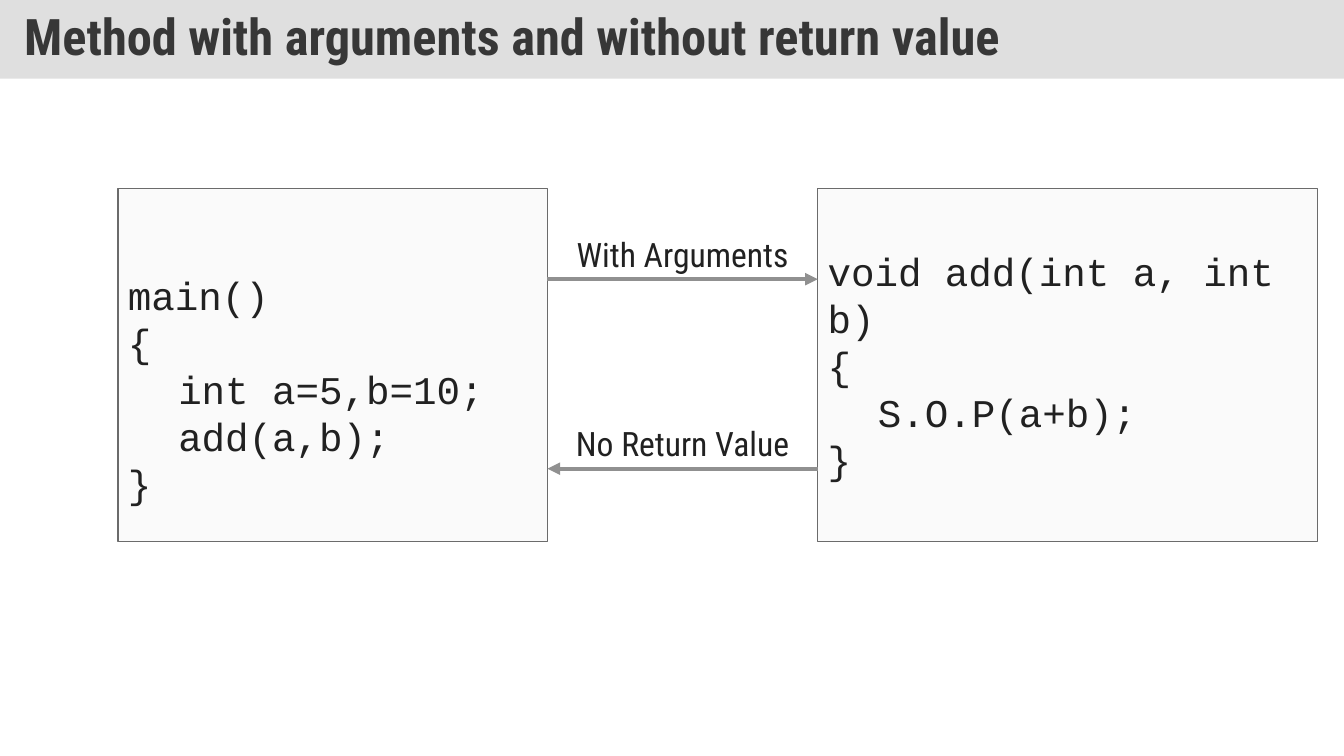
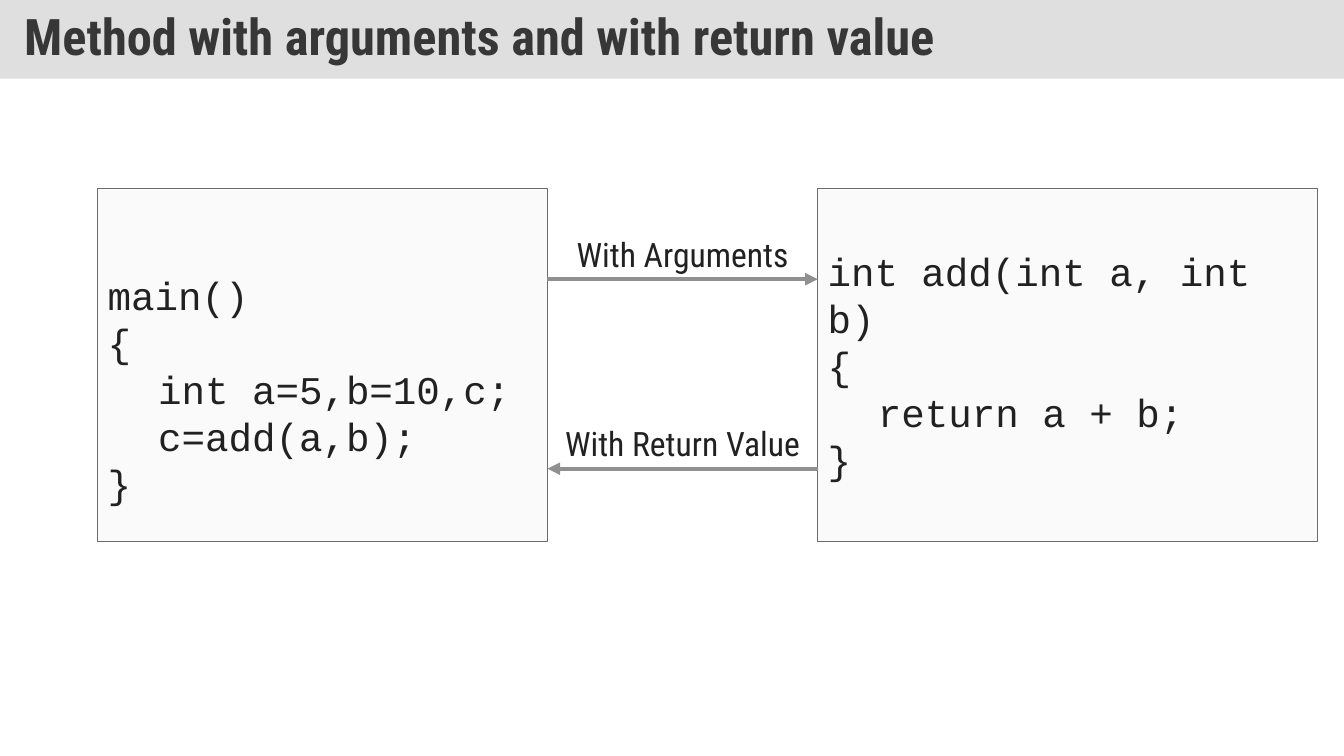
from lxml.etree import SubElement
from pptx import Presentation
from pptx.dml.color import RGBColor
from pptx.enum.shapes import MSO_CONNECTOR, MSO_SHAPE
from pptx.enum.text import MSO_ANCHOR, PP_ALIGN
from pptx.oxml.ns import qn
from pptx.util import Inches, Pt

COLORS = {name: RGBColor.from_string(value) for name, value in {
    "band": "DFDFDF", "title": "373737", "text": "212121",
    "box": "FAFAFA", "border": "6B6B6B", "arrow": "909090"}.items()}
TITLE_FONT, CODE_FONT = "Roboto Condensed", "Courier New"

# Grid in inches: two code boxes with a column for the arrows between them
WIDTH, HEIGHT = 13.33, 7.5
BAND_HEIGHT = 0.78
BOX_TOP, BOX_HEIGHT = 1.87, 3.5
CALLER_RIGHT, METHOD_LEFT, METHOD_RIGHT = 5.43, 8.11, 13.07
ARROW_ROWS = (2.77, 4.65)
LABEL_HEIGHT = 0.5
CODE_LINE = 0.47

SLIDES = [
    {"title": "Method with arguments and without return value",
     "caller_left": 1.17,
     "caller": ["main()", "{", "\tint a=5,b=10;", "\tadd(a,b);", "}"],
     "method": ["void add(int a, int b)", "{", "\tS.O.P(a+b);", "}"],
     "labels": ["With Arguments", "No Return Value"]},
    {"title": "Method with arguments and with return value",
     "caller_left": 0.97,
     "caller": ["main()", "{", "\tint a=5,b=10,c;", "\tc=add(a,b);", "}"],
     "method": ["int add(int a, int b)", "{", "\treturn a + b;", "}"],
     "labels": ["With Arguments", "With Return Value"]},
]


def add_rectangle(slide, left, top, width, height, fill):
    shape = slide.shapes.add_shape(MSO_SHAPE.RECTANGLE, Inches(left), Inches(top),
                                   Inches(width), Inches(height))
    shape.shadow.inherit = False
    shape.fill.solid()
    shape.fill.fore_color.rgb = COLORS[fill]
    shape.text_frame.word_wrap = True
    shape.text_frame.vertical_anchor = MSO_ANCHOR.MIDDLE
    return shape


def write_lines(shape, lines, font, size, color, align=PP_ALIGN.LEFT):
    frame = shape.text_frame
    for index, line in enumerate(lines):
        paragraph = frame.add_paragraph() if index else frame.paragraphs[0]
        paragraph.text = line
        paragraph.alignment = align
        paragraph.font.name = font
        paragraph.font.size = Pt(size)
        paragraph.font.color.rgb = COLORS[color]


presentation = Presentation()
presentation.slide_width = Inches(WIDTH)
presentation.slide_height = Inches(HEIGHT)

for content in SLIDES:
    slide = presentation.slides.add_slide(presentation.slide_layouts[6])

    # Title band
    band = add_rectangle(slide, 0, 0, WIDTH, BAND_HEIGHT, "band")
    band.line.fill.background()
    band.text_frame.margin_left = band.text_frame.margin_right = Inches(0.24)
    band.text_frame.margin_top = band.text_frame.margin_bottom = Inches(0.12)
    write_lines(band, [content["title"]], TITLE_FONT, 36, "title")
    title = band.text_frame.paragraphs[0]
    title.font.bold = True
    title.line_spacing = 0.9

    # Code boxes; the caller's code starts one line lower
    for lines, left, right, lowered in (
            (content["caller"], content["caller_left"], CALLER_RIGHT, CODE_LINE),
            (content["method"], METHOD_LEFT, METHOD_RIGHT, 0)):
        box = add_rectangle(slide, left, BOX_TOP, right - left, BOX_HEIGHT, "box")
        box.line.color.rgb = COLORS["border"]
        box.line.width = Pt(1)
        box.text_frame.margin_top = Inches(0.05 + lowered)
        write_lines(box, lines, CODE_FONT, 28, "text")

    # Call and return arrows, each with its label above
    directions = ((CALLER_RIGHT, METHOD_LEFT), (METHOD_LEFT, CALLER_RIGHT))
    for row, (start, end), text in zip(ARROW_ROWS, directions, content["labels"]):
        arrow = slide.shapes.add_connector(MSO_CONNECTOR.STRAIGHT, Inches(start), Inches(row),
                                           Inches(end), Inches(row))
        arrow.line.color.rgb = COLORS["arrow"]
        arrow.line.width = Pt(3)
        SubElement(arrow.line._get_or_add_ln(), qn("a:tailEnd"), type="triangle")
        SubElement(arrow._element.spPr, qn("a:effectLst"))

        label = slide.shapes.add_textbox(Inches(CALLER_RIGHT), Inches(row - LABEL_HEIGHT),
                                         Inches(METHOD_LEFT - CALLER_RIGHT), Inches(LABEL_HEIGHT))
        label.text_frame.word_wrap = True
        write_lines(label, [text], TITLE_FONT, 24, "text", PP_ALIGN.CENTER)

presentation.save("out.pptx")
